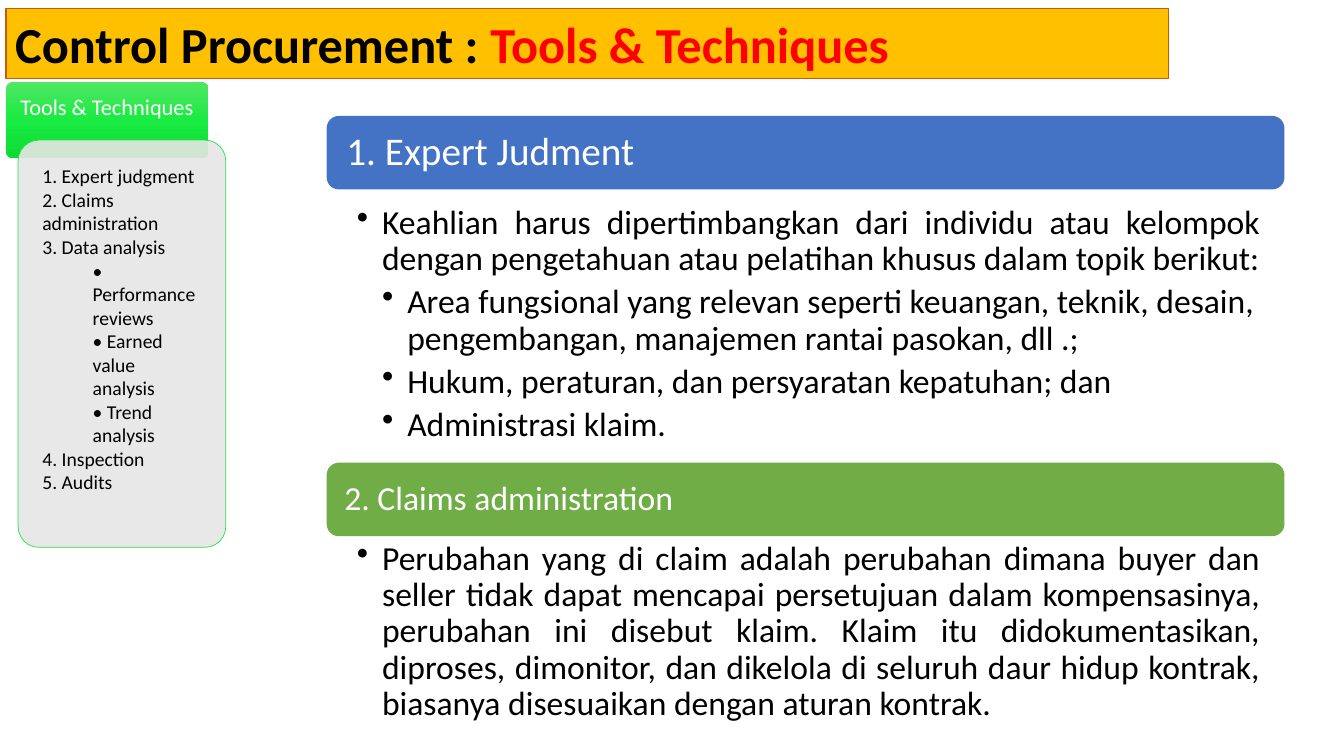
from copy import deepcopy

from lxml import etree
from pptx import Presentation, util as u
from pptx.dml.color import RGBColor
from pptx.enum import shapes, text
from pptx.oxml.ns import qn

BLACK = RGBColor(0x00, 0x00, 0x00)
WHITE = RGBColor(0xFF, 0xFF, 0xFF)
RED = RGBColor(0xFF, 0x00, 0x00)
AMBER = RGBColor(0xFF, 0xC0, 0x00)
RUST = RGBColor(0xC5, 0x5A, 0x11)
BLUE = RGBColor(0x44, 0x72, 0xC4)
GREEN = RGBColor(0x70, 0xAD, 0x47)
LIME = RGBColor(0x23, 0xE1, 0x48)
GREY = RGBColor(0xE7, 0xE6, 0xE6)
TAB_SHADES = [RGBColor(0x51, 0xE6, 0x63), RGBColor(0x19, 0xEB, 0x42), RGBColor(0x0C, 0xDB, 0x34)]

TITLE = [("Control Procurement : ", BLACK), ("Tools & Techniques", RED)]
TAB = "Tools & Techniques"
# Each line is (level, text).
TOOLS = [
    (0, "1. Expert judgment"),
    (0, "2. Claims administration"),
    (0, "3. Data analysis"),
    (1, "• Performance reviews"),
    (1, "• Earned value analysis"),
    (1, "• Trend analysis"),
    (0, "4. Inspection"),
    (0, "5. Audits"),
]
# Each section is (heading, size, inset, colour, top, gap to body, body height, lines).
SECTIONS = [
    ("1. Expert Judment", 28, 0.16, BLUE, 1.15, 0.12, 2.6, [
        (1, "Keahlian harus dipertimbangkan dari individu atau kelompok dengan "
            "pengetahuan atau pelatihan khusus dalam topik berikut:"),
        (2, "Area fungsional yang relevan seperti keuangan, teknik, desain, "
            "pengembangan, manajemen rantai pasokan, dll .;"),
        (2, "Hukum, peraturan, dan persyaratan kepatuhan; dan"),
        (2, "Administrasi klaim."),
    ]),
    ("2. Claims administration", 24, 0.14, GREEN, 4.59, 0.01, 1.93, [
        (1, "Perubahan yang di claim adalah perubahan dimana buyer dan seller tidak "
            "dapat mencapai persetujuan dalam kompensasinya, perubahan ini disebut "
            "klaim. Klaim itu didokumentasikan, diproses, dimonitor, dan dikelola di "
            "seluruh daur hidup kontrak, biasanya disesuaikan dengan aturan kontrak."),
    ]),
]
SECTION_LEFT, SECTION_WIDTH, HEADING_HEIGHT = 3.24, 9.5, 0.73
STEP = 0.25


def set_frame(shape, insets, anchor=text.MSO_ANCHOR.TOP):
    """Wrap the text and set left, top, right and bottom insets in inches."""
    frame = shape.text_frame
    frame.word_wrap = True
    frame.vertical_anchor = anchor
    (frame.margin_left, frame.margin_top,
     frame.margin_right, frame.margin_bottom) = map(u.Inches, insets)
    return frame


def add_box(page, kind, place, colour=None, line=None, line_width=0.75):
    box = page.shapes.add_shape(kind, *map(u.Inches, place))
    box.shadow.inherit = False
    if colour is not None:
        box.fill.solid()
        box.fill.fore_color.rgb = colour
    if line is None:
        box.line.fill.background()
    else:
        box.line.color.rgb = line
        box.line.width = u.Pt(line_width)
    return box


def add_paragraphs(frame, lines, size, colour, spacing=1.0, bulleted=False):
    for number, (level, words) in enumerate(lines):
        para = frame.add_paragraph() if number else frame.paragraphs[0]
        para.text = words
        para.level = level
        para.alignment = text.PP_ALIGN.LEFT
        para.line_spacing = spacing
        props = para._p.get_or_add_pPr()
        if bulleted:
            if level == 1:
                para.alignment = text.PP_ALIGN.JUSTIFY
            para.space_after = u.Pt(size * 0.2)
            props.set("marL", str(u.Inches(STEP * level)))
            props.set("indent", str(u.Inches(-STEP)))
            etree.SubElement(props, qn("a:buChar"), char="•")
        else:
            props.set("marL", str(u.Inches(2 * STEP * level)))
            props.set("indent", "0")
        para.font.name = "Calibri"
        para.font.size = u.Pt(size)
        para.font.color.rgb = colour


def add_title(page):
    bar = add_box(page, shapes.MSO_SHAPE.RECTANGLE, (0.06, 0.08, 11.53, 0.7), AMBER, RUST)
    para = set_frame(bar, (0.09, 0.05, 0.09, 0.05)).paragraphs[0]
    para.alignment = text.PP_ALIGN.LEFT
    para.font.name = "Calibri"
    para.font.size = u.Pt(36)
    para.font.bold = True
    for words, colour in TITLE:
        span = para.add_run()
        span.text = words
        span.font.color.rgb = colour


def add_section(page, heading, size, inset, colour, top, gap, body_height, lines):
    bar = add_box(page, shapes.MSO_SHAPE.ROUNDED_RECTANGLE,
                  (SECTION_LEFT, top, SECTION_WIDTH, HEADING_HEIGHT), colour)
    frame = set_frame(bar, [inset] * 4, text.MSO_ANCHOR.MIDDLE)
    add_paragraphs(frame, [(0, heading)], size, WHITE, 0.9)
    body = page.shapes.add_textbox(*map(u.Inches, (
        SECTION_LEFT, top + HEADING_HEIGHT + gap, SECTION_WIDTH, body_height)))
    frame = set_frame(body, (0.3, 0.04, 0.24, 0.04))
    add_paragraphs(frame, lines, 24, BLACK, 0.9, bulleted=True)


def add_sidebar(page):
    tab = add_box(page, shapes.MSO_SHAPE.ROUNDED_RECTANGLE, (0.06, 0.81, 2.01, 0.76))
    tab.adjustments[0] = 0.1
    tab.fill.gradient()
    tab.fill.gradient_angle = 270
    stops = tab._element.spPr.find(".//" + qn("a:gsLst"))
    stops.insert(1, deepcopy(stops[0]))
    for number, (stop, shade) in enumerate(zip(tab.fill.gradient_stops, TAB_SHADES)):
        stop.position = number / 2
        stop.color.rgb = shade
    add_paragraphs(set_frame(tab, (0.12, 0.12, 0.12, 0.32)), [(0, TAB)], 16, WHITE, 0.9)

    card = add_box(page, shapes.MSO_SHAPE.ROUNDED_RECTANGLE,
                   (0.18, 1.39, 2.06, 4.04), GREY, LIME, 0.5)
    card.adjustments[0] = 0.1
    fill_colour = card._element.spPr.find(qn("a:solidFill"))[0]
    etree.SubElement(fill_colour, qn("a:alpha"), val="90000")
    add_paragraphs(set_frame(card, [0.18] * 4), TOOLS, 14, BLACK)


def main():
    deck = Presentation()
    deck.slide_width, deck.slide_height = u.Inches(13.33), u.Inches(7.5)
    page = deck.slides.add_slide(deck.slide_layouts[6])
    add_title(page)
    for section in SECTIONS:
        add_section(page, *section)
    add_sidebar(page)
    deck.save("out.pptx")


if __name__ == "__main__":
    main()
